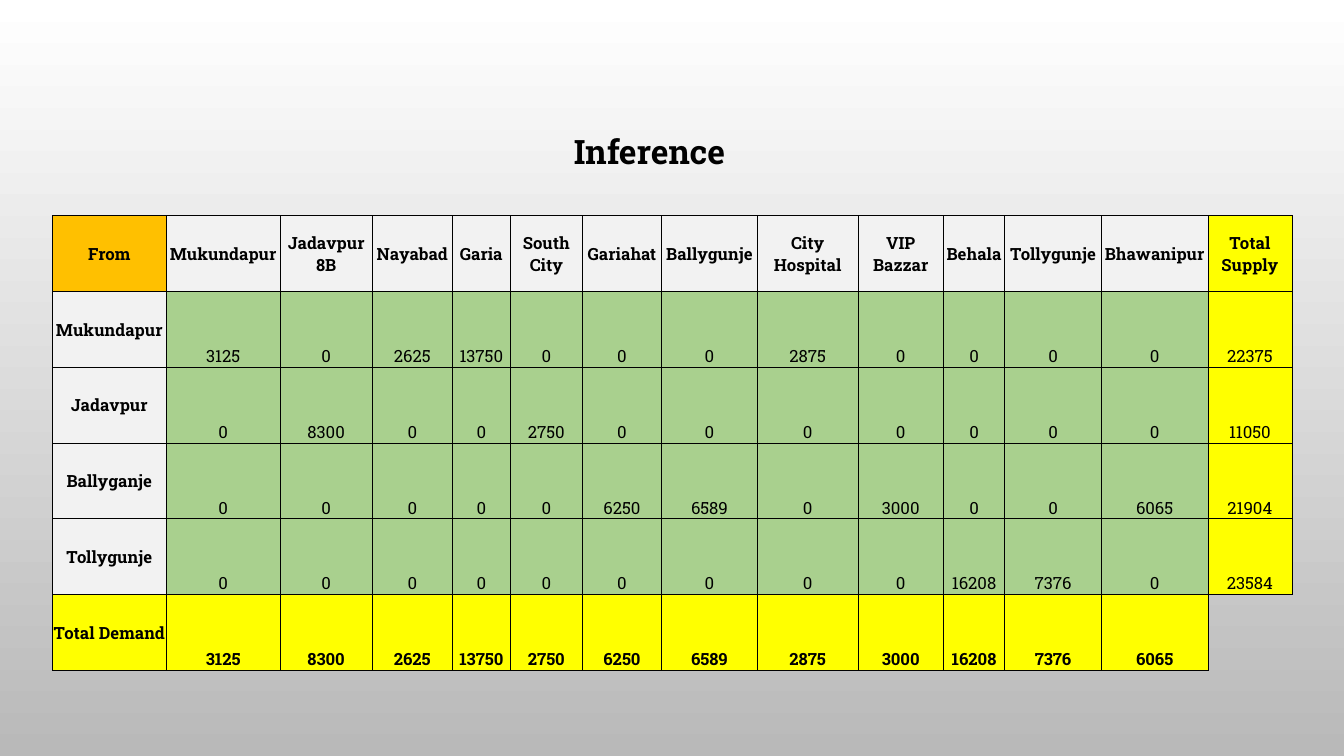
from lxml.etree import SubElement
from pptx import Presentation
from pptx.dml.color import RGBColor
from pptx.enum.text import MSO_ANCHOR, MSO_AUTO_SIZE, PP_ALIGN
from pptx.oxml.ns import qn
from pptx.util import Cm, Pt

FONT = "Roboto Slab"
COLORS = {
    "text": "000000",
    "border": "000000",
    "corner": "FFC000",
    "header": "F2F2F2",
    "amount": "A9D08E",
    "total": "FFFF00",
    "bg_top": "FFFFFF",
    "bg_bottom": "B9B9B9",
}
DESTINATIONS = [
    "Mukundapur", "Jadavpur 8B", "Nayabad", "Garia", "South City", "Gariahat",
    "Ballygunje", "City Hospital", "VIP Bazzar", "Behala", "Tollygunje", "Bhawanipur",
]
SHIPMENTS = {
    "Mukundapur": [3125, 0, 2625, 13750, 0, 0, 0, 2875, 0, 0, 0, 0],
    "Jadavpur": [0, 8300, 0, 0, 2750, 0, 0, 0, 0, 0, 0, 0],
    "Ballyganje": [0, 0, 0, 0, 0, 6250, 6589, 0, 3000, 0, 0, 6065],
    "Tollygunje": [0, 0, 0, 0, 0, 0, 0, 0, 0, 16208, 7376, 0],
}
COLUMN_WIDTHS = [2.87, 2.87, 2.32, 2.02, 1.46, 1.82, 1.99,
                 2.42, 2.53, 2.16, 1.54, 2.44, 2.68, 2.12]
ROW_HEIGHT = 1.91


def color(name):
    return RGBColor.from_string(COLORS[name])


def write(tf, text, size=12, bold=False, align=PP_ALIGN.CENTER):
    p = tf.paragraphs[0]
    p.alignment = align
    r = p.add_run()
    r.text = text
    r.font.name = FONT
    r.font.size = Pt(size)
    r.font.bold = bold
    r.font.color.rgb = color("text")


def set_borders(cell, visible="LRTB"):
    tc_pr = cell._tc.get_or_add_tcPr()
    for side in "LRTB":
        ln = SubElement(tc_pr, qn(f"a:ln{side}"), w=str(Pt(0.5)))
        if side in visible:
            fill = SubElement(ln, qn("a:solidFill"))
            SubElement(fill, qn("a:srgbClr"), val=COLORS["border"])
        else:
            SubElement(ln, qn("a:noFill"))


def format_cell(cell, text, fill, bold, anchor):
    set_borders(cell)
    cell.fill.solid()
    cell.fill.fore_color.rgb = color(fill)
    cell.vertical_anchor = anchor
    cell.margin_left = cell.margin_right = cell.margin_top = Cm(0.02)
    cell.margin_bottom = 0
    write(cell.text_frame, text, bold=bold)


def table_rows():
    demand = [sum(column) for column in zip(*SHIPMENTS.values())]
    return [
        ["From", *DESTINATIONS, "Total Supply"],
        *([origin, *amounts, sum(amounts)] for origin, amounts in SHIPMENTS.items()),
        ["Total Demand", *demand],
    ]


def cell_fill(row, col, last_row, last_col):
    if row == col == 0:
        return "corner"
    if row == last_row or col == last_col:
        return "total"
    return "header" if row == 0 or col == 0 else "amount"


def add_shipment_table(s):
    rows = table_rows()
    last_row, last_col = len(rows) - 1, len(COLUMN_WIDTHS) - 1
    frame = s.shapes.add_table(
        len(rows), len(COLUMN_WIDTHS), Cm(1.32), Cm(5.43),
        Cm(sum(COLUMN_WIDTHS)), Cm(ROW_HEIGHT * len(rows)))
    table = frame.table
    table.first_row = table.horz_banding = False
    for column, width in zip(table.columns, COLUMN_WIDTHS):
        column.width = Cm(width)
    for row in table.rows:
        row.height = Cm(ROW_HEIGHT)
    for i, values in enumerate(rows):
        for j, value in enumerate(values):
            is_header = i == 0 or j == 0
            format_cell(
                table.cell(i, j), str(value), cell_fill(i, j, last_row, last_col),
                bold=is_header or i == last_row,
                anchor=MSO_ANCHOR.MIDDLE if is_header else MSO_ANCHOR.BOTTOM)
    blank = table.cell(last_row, last_col)
    set_borders(blank, visible="LT")
    blank.fill.background()


def format_title(s, text):
    title = s.shapes.title
    title.left, title.top = Cm(7.9), Cm(3.18)
    title.width, title.height = Cm(16.94), Cm(1.28)
    tf = title.text_frame
    tf.word_wrap = True
    tf.auto_size = MSO_AUTO_SIZE.SHAPE_TO_FIT_TEXT
    tf.vertical_anchor = MSO_ANCHOR.TOP
    write(tf, text, size=24, bold=True)


def set_background(s):
    fill = s.background.fill
    fill.gradient()
    fill.gradient_angle = 270
    for stop, name in zip(fill.gradient_stops, ("bg_top", "bg_bottom")):
        stop.color.rgb = color(name)


def main():
    prs = Presentation()
    prs.slide_width, prs.slide_height = Cm(33.87), Cm(19.05)
    s = prs.slides.add_slide(prs.slide_layouts[5])
    set_background(s)
    format_title(s, "Inference")
    add_shipment_table(s)
    prs.save("out.pptx")


if __name__ == "__main__":
    main()
